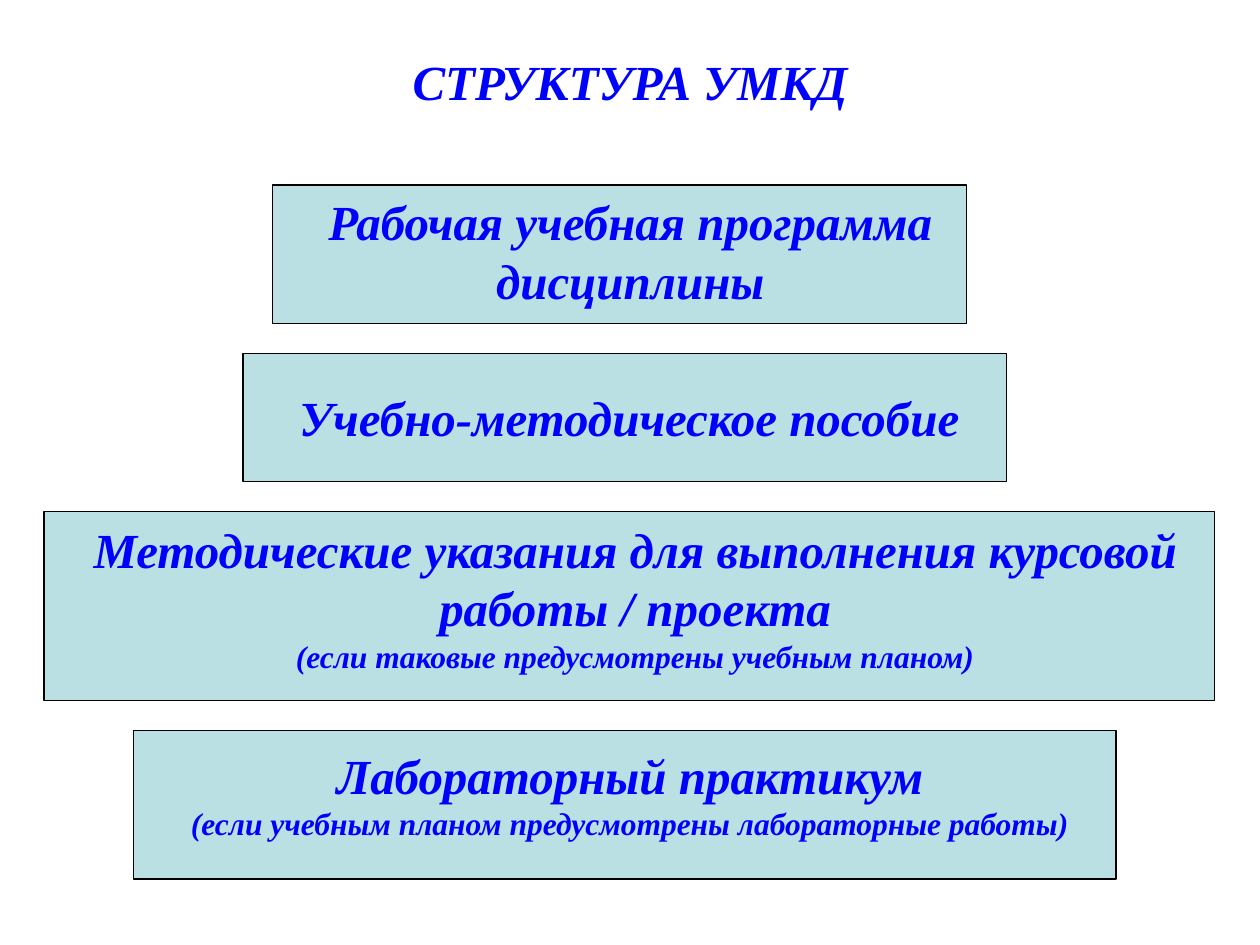
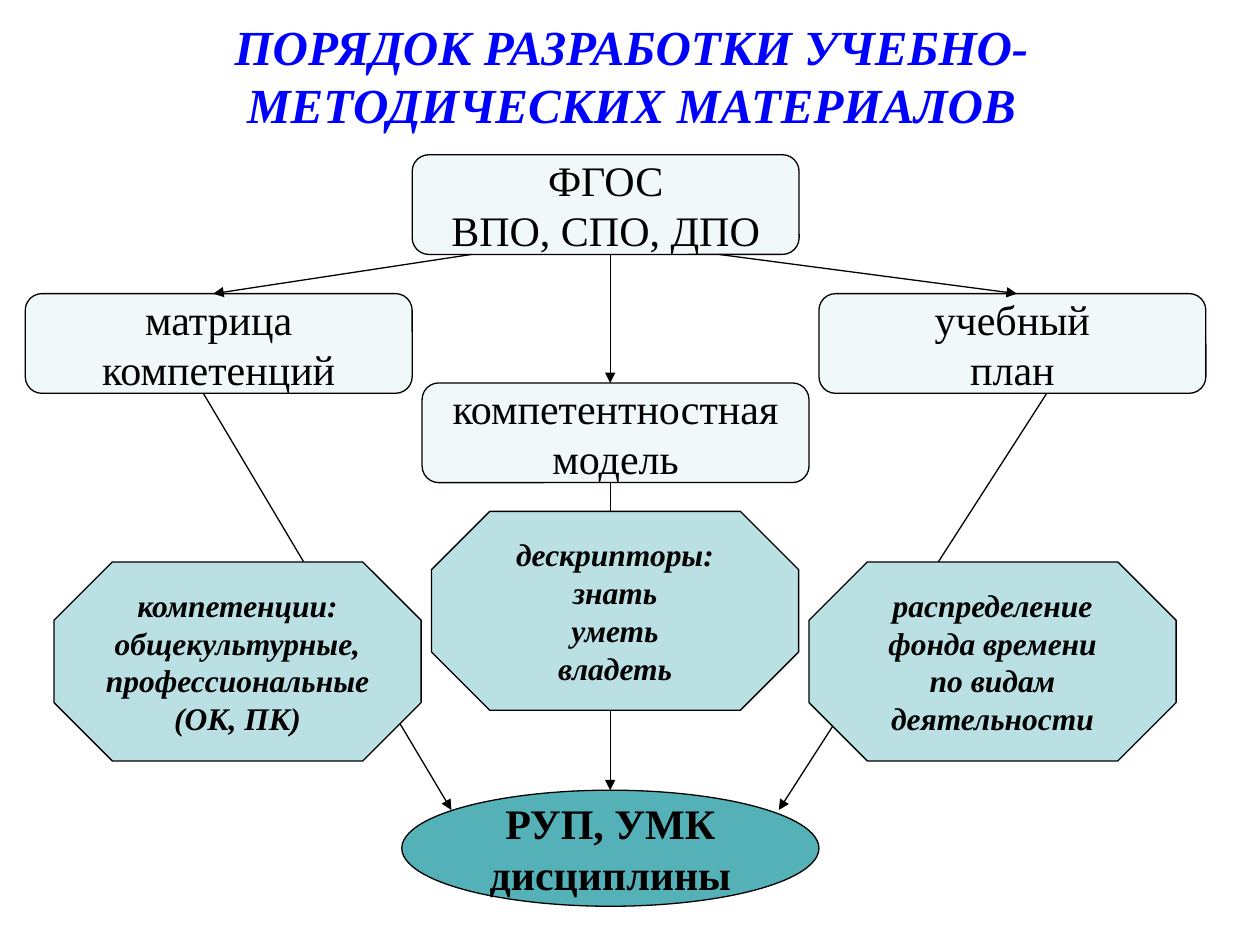
from lxml import etree
from pptx import Presentation
from pptx.dml.color import RGBColor
from pptx.enum.shapes import MSO_CONNECTOR, MSO_SHAPE
from pptx.enum.text import MSO_ANCHOR, MSO_AUTO_SIZE, PP_ALIGN
from pptx.oxml.ns import qn
from pptx.util import Cm, Pt

RECTANGLE, ROUNDED = MSO_SHAPE.RECTANGLE, MSO_SHAPE.ROUNDED_RECTANGLE
OCTAGON, OVAL = MSO_SHAPE.OCTAGON, MSO_SHAPE.OVAL
STRAIGHT = MSO_CONNECTOR.STRAIGHT
TOP, MIDDLE = MSO_ANCHOR.TOP, MSO_ANCHOR.MIDDLE
CENTER = PP_ALIGN.CENTER
NO_AUTOFIT = MSO_AUTO_SIZE.NONE

BLUE = RGBColor(0x00, 0x00, 0xFF)
BLACK = RGBColor(0x00, 0x00, 0x00)
PALE = RGBColor(0xF1, 0xF8, 0xF9)
LIGHT_TEAL = RGBColor(0xBB, 0xE0, 0xE3)
TEAL = RGBColor(0x54, 0xB1, 0xB8)

FONT = "Times New Roman"
LINE_WIDTH = Pt(0.75)
HEADING, NODE, NOTE = 28, 24, 18
TITLE_ONLY = 5


class Deck:
    def __init__(self):
        self.presentation = Presentation()
        self.presentation.slide_width = Cm(25.4)
        self.presentation.slide_height = Cm(19.05)
        self.slide = None

    def set_lines(self, frame, lines, sizes, color, bold=False, italic=False):
        """Fill the frame with centred lines; the last size serves all further lines."""
        frame.text = "\n".join(lines)
        for index, paragraph in enumerate(frame.paragraphs):
            paragraph.alignment = CENTER
            for run in paragraph.runs:
                font = run.font
                font.name = FONT
                font.size = Pt(sizes[min(index, len(sizes) - 1)])
                font.bold, font.italic = bold, italic
                font.color.rgb = color

    def start_slide(self, heading, left, top, width, height, anchor):
        layout = self.presentation.slide_layouts[TITLE_ONLY]
        self.slide = self.presentation.slides.add_slide(layout)
        title = self.slide.shapes.title
        title.left, title.top = Cm(left), Cm(top)
        title.width, title.height = Cm(width), Cm(height)
        frame = title.text_frame
        frame.auto_size = NO_AUTOFIT
        frame.vertical_anchor = anchor
        self.set_lines(frame, [heading], [HEADING], BLUE, bold=True, italic=True)

    def box(self, kind, left, top, width, height, fill):
        shape = self.slide.shapes.add_shape(kind, Cm(left), Cm(top), Cm(width), Cm(height))
        shape.shadow.inherit = False
        shape.fill.solid()
        shape.fill.fore_color.rgb = fill
        shape.line.color.rgb = BLACK
        shape.line.width = LINE_WIDTH
        return shape

    def node(self, kind, left, top, width, height, fill, lines, size, **style):
        shape = self.box(kind, left, top, width, height, fill)
        frame = shape.text_frame
        frame.word_wrap = False
        frame.vertical_anchor = MIDDLE
        self.set_lines(frame, lines, [size], BLACK, **style)

    def caption(self, left, top, width, height, lines):
        label = self.slide.shapes.add_textbox(Cm(left), Cm(top), Cm(width), Cm(height))
        label.text_frame.word_wrap = True
        self.set_lines(label.text_frame, lines, [HEADING, NOTE], BLUE, bold=True, italic=True)

    def arrow(self, x1, y1, x2, y2):
        connector = self.slide.shapes.add_connector(STRAIGHT, Cm(x1), Cm(y1), Cm(x2), Cm(y2))
        connector.line.color.rgb = BLACK
        connector.line.width = LINE_WIDTH
        properties = connector._element.spPr
        etree.SubElement(properties.find(qn("a:ln")), qn("a:tailEnd"), type="triangle")
        etree.SubElement(properties, qn("a:effectLst"))


def add_structure(deck):
    deck.start_slide("СТРУКТУРА УМКД", 0, 0.91, 25.4, 1.45, TOP)
    # Box left, width, height; caption left, offset from box top, width, height; lines
    components = [
        (5.49, 14, 2.79, 5.11, 0, 15.19, 2.64,
         ["Рабочая учебная программа дисциплины"]),
        (4.9, 15.39, 2.59, 4.29, 0.56, 16.79, 1.45,
         ["Учебно-методическое пособие"]),
        (0.89, 23.6, 3.81, 0.51, 0.03, 24.59, 3.4,
         ["Методические указания для выполнения курсовой работы / проекта",
          "(если таковые предусмотрены учебным планом)"]),
        (2.69, 19.81, 3, 1.09, 0.18, 23.22, 2.21,
         ["Лабораторный практикум",
          "(если учебным планом предусмотрены лабораторные работы)"]),
    ]
    top, gap = 3.73, 0.6
    for left, width, height, text_left, offset, text_width, text_height, lines in components:
        deck.box(RECTANGLE, left, top, width, height, LIGHT_TEAL)
        deck.caption(text_left, top + offset, text_width, text_height, lines)
        top += height + gap


def add_procedure(deck):
    deck.start_slide("ПОРЯДОК РАЗРАБОТКИ УЧЕБНО-МЕТОДИЧЕСКИХ МАТЕРИАЛОВ",
                     1.3, -0.08, 22.86, 3.18, MIDDLE)
    node_width, node_height = 7.8, 2.01
    standard_top, side_top, model_top, result_top = 3.12, 5.92, 7.72, 15.93
    for left, top, lines in [
        (8.31, standard_top, ["ФГОС", "ВПО, СПО, ДПО"]),
        (0.51, side_top, ["матрица", "компетенций"]),
        (8.51, model_top, ["компетентностная", "модель"]),
        (16.51, side_top, ["учебный", "план"]),
    ]:
        deck.node(ROUNDED, left, top, node_width, node_height, PALE, lines, NODE)

    axis = 12.3
    standard_bottom, side_bottom, model_bottom = (
        top + node_height for top in (standard_top, side_top, model_top))
    for ends in [
        (axis, standard_bottom, axis, model_top),
        (14.5, standard_bottom, 20.5, side_top),
        (9.5, standard_bottom, 4.3, side_top),
        (4.1, side_bottom, 9.1, 16.33),
        (21.1, side_bottom, 15.7, 16.33),
        (axis, model_bottom, axis, result_top),
    ]:
        deck.arrow(*ends)

    for left, top, lines in [
        (1.09, 11.33, ["компетенции:", "общекультурные,", "профессиональные", "(ОК, ПК)"]),
        (8.7, 10.31, ["дескрипторы:", "знать", "уметь", "владеть"]),
        (16.31, 11.33, ["распределение", "фонда времени", "по видам", "деятельности"]),
    ]:
        deck.node(OCTAGON, left, top, 7.4, 4.01, LIGHT_TEAL, lines, NOTE,
                  bold=True, italic=True)
    deck.node(OVAL, 8.1, result_top, 8.41, 2.34, TEAL,
              ["РУП, УМК", "дисциплины"], NODE, bold=True)


def main():
    deck = Deck()
    add_structure(deck)
    add_procedure(deck)
    deck.presentation.save("out.pptx")


if __name__ == "__main__":
    main()
